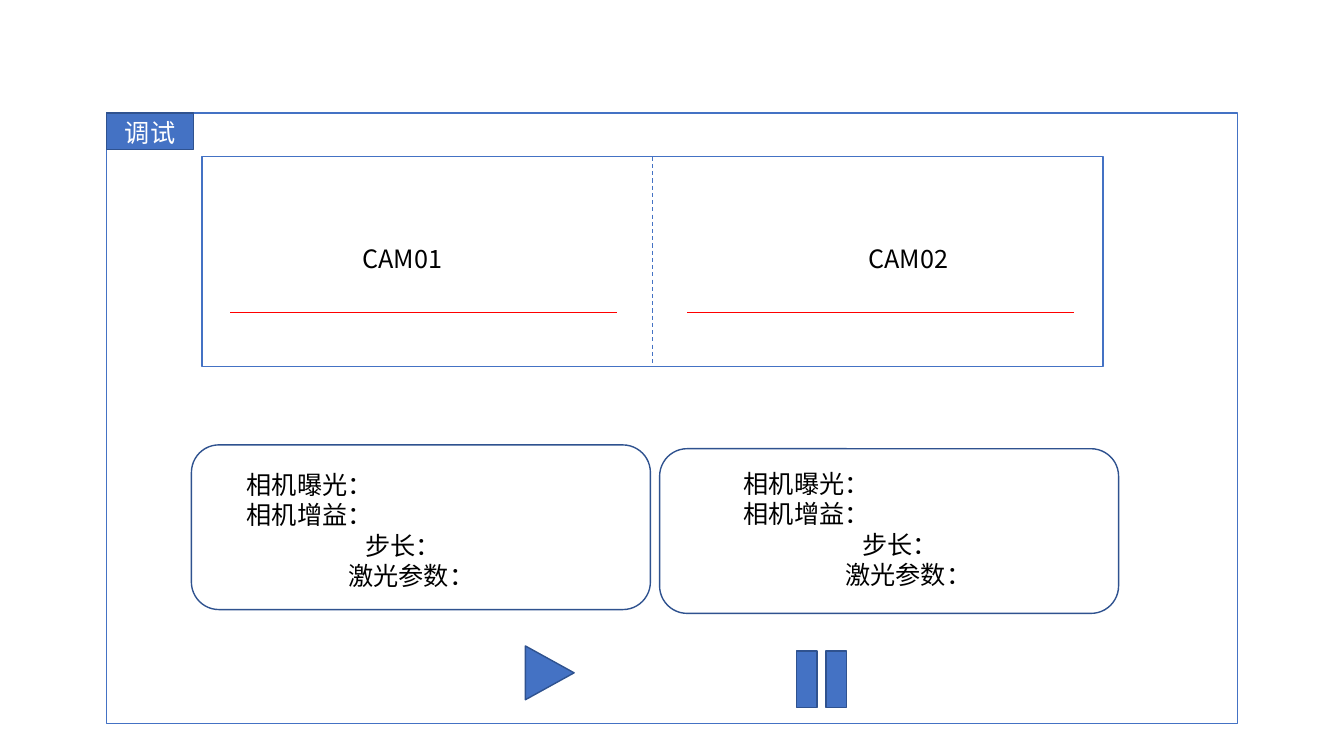
from dataclasses import dataclass

from lxml.etree import SubElement
from pptx import Presentation
from pptx.dml.color import RGBColor
from pptx.enum.dml import MSO_LINE_DASH_STYLE as Dash
from pptx.enum.shapes import MSO_CONNECTOR as Connector, MSO_SHAPE as Shape
from pptx.enum.text import MSO_ANCHOR as Anchor, PP_ALIGN as Align
from pptx.oxml.ns import qn
from pptx.util import Pt


@dataclass(frozen=True)
class Theme:
    white: RGBColor = RGBColor(0xFF, 0xFF, 0xFF)
    black: RGBColor = RGBColor(0, 0, 0)
    blue: RGBColor = RGBColor(0x44, 0x72, 0xC4)
    navy: RGBColor = RGBColor(0x2F, 0x52, 0x8F)
    red: RGBColor = RGBColor(0xFF, 0, 0)
    font: str = "Noto Sans CJK SC"
    size: float = 18
    leading: float = 21.7


THEME = Theme()
PARAMETERS = [("相机曝光：", 72), ("相机增益：", 72), ("步长：", 156.7), ("激光参数：", 144.6)]


def apply(target, values):
    for name, value in values.items():
        setattr(target, name, value)


def paint(shape, fill, line):
    shape.shadow.inherit = False
    if fill is None:
        shape.fill.background()
    else:
        shape.fill.solid()
        shape.fill.fore_color.rgb = fill
    shape.line.color.rgb = line
    shape.line.width = Pt(1)


def add_box(slide, kind, box, fill, line):
    shape = slide.shapes.add_shape(kind, *map(Pt, box))
    paint(shape, fill, line)
    return shape


def write_lines(shape, lines, color, align=Align.LEFT, anchor=Anchor.TOP, wrap=True):
    frame = shape.text_frame
    apply(frame, {
        "word_wrap": wrap, "vertical_anchor": anchor,
        "margin_left": Pt(7.2), "margin_right": Pt(7.2),
        "margin_top": Pt(5.2), "margin_bottom": Pt(3.6),
    })
    for index, (text, indent) in enumerate(lines):
        paragraph = frame.add_paragraph() if index else frame.paragraphs[0]
        apply(paragraph, {"alignment": align, "line_spacing": Pt(THEME.leading)})
        properties = paragraph._p.get_or_add_pPr()
        properties.set("marL", str(Pt(indent)))
        properties.set("indent", "0")
        run = paragraph.add_run()
        run.text = text
        run.font.color.rgb = color
        apply(run.font, {"name": THEME.font, "size": Pt(THEME.size)})
        SubElement(run._r.get_or_add_rPr(), qn("a:ea"), typeface=THEME.font)


def add_text(slide, box, lines, wrap=True):
    shape = slide.shapes.add_textbox(*map(Pt, box))
    write_lines(shape, lines, THEME.black, wrap=wrap)


def add_line(slide, start, end, color, width, dash=None):
    line = slide.shapes.add_connector(Connector.STRAIGHT, *map(Pt, start + end))
    line.line.color.rgb = color
    apply(line.line, {"width": Pt(width), "dash_style": dash})
    SubElement(line._element.spPr, qn("a:effectLst"))


def add_pause(slide, lefts, top, width, height):
    builder = None
    for left in lefts:
        if builder is None:
            builder = slide.shapes.build_freeform(Pt(left), Pt(top))
        else:
            builder.move_to(Pt(left), Pt(top))
        corners = [(left + width, top), (left + width, top + height), (left, top + height)]
        builder.add_line_segments([(Pt(x), Pt(y)) for x, y in corners], close=True)
    paint(builder.convert_to_shape(), THEME.blue, THEME.navy)


def main():
    presentation = Presentation()
    apply(presentation, {"slide_width": Pt(960.5), "slide_height": Pt(540)})
    slide = presentation.slides.add_slide(presentation.slide_layouts[6])

    add_box(slide, Shape.RECTANGLE, (76.3, 80.7, 808.2, 436), THEME.white, THEME.blue)
    tab = add_box(slide, Shape.RECTANGLE, (76.3, 80.7, 62, 26), THEME.blue, THEME.navy)
    write_lines(tab, [("调试", 0)], THEME.white, Align.CENTER, Anchor.MIDDLE)

    add_box(slide, Shape.RECTANGLE, (144.3, 112, 644, 149.7), THEME.white, THEME.blue)
    add_line(slide, (466.2, 112), (466.2, 261.7), THEME.blue, 0.75, Dash.DASH)
    for name, label_left, laser_left in [("CAM01", 252, 164.7), ("CAM02", 613.6, 491.3)]:
        add_text(slide, (label_left, 168.5, 74, 29), [(name, 0)], wrap=False)
        add_line(slide, (laser_left, 223.3), (laser_left + 276, 223.3), THEME.red, 0.5)

    panels = [
        ((97.2, 329.8, 480, 94), (136.8, 317.8, 328, 117.6)),
        ((452.4, 329.1, 395, 94), (471.4, 320.5, 328, 117.6)),
    ]
    for text_box, outline in panels:
        add_text(slide, text_box, PARAMETERS)
        panel = add_box(slide, Shape.ROUNDED_RECTANGLE, outline, None, THEME.navy)
        panel.adjustments[0] = 0.167

    play = add_box(slide, Shape.ISOSCELES_TRIANGLE, (373.7, 463.2, 38.4, 34.8),
                   THEME.blue, THEME.navy)
    play.rotation = 90
    add_pause(slide, (569.2, 590.4), 465, 14.6, 40.2)

    presentation.save("out.pptx")


if __name__ == "__main__":
    main()
